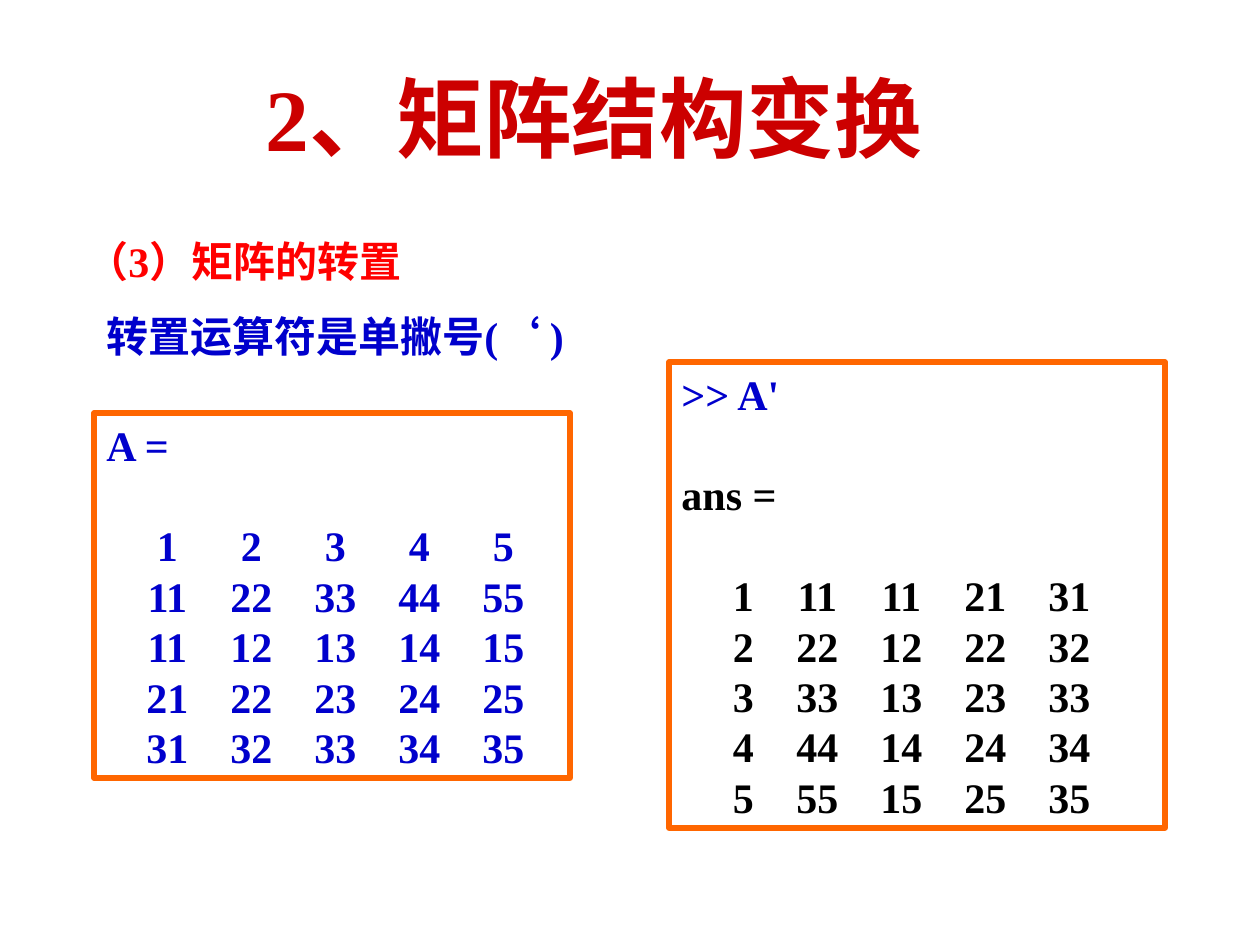
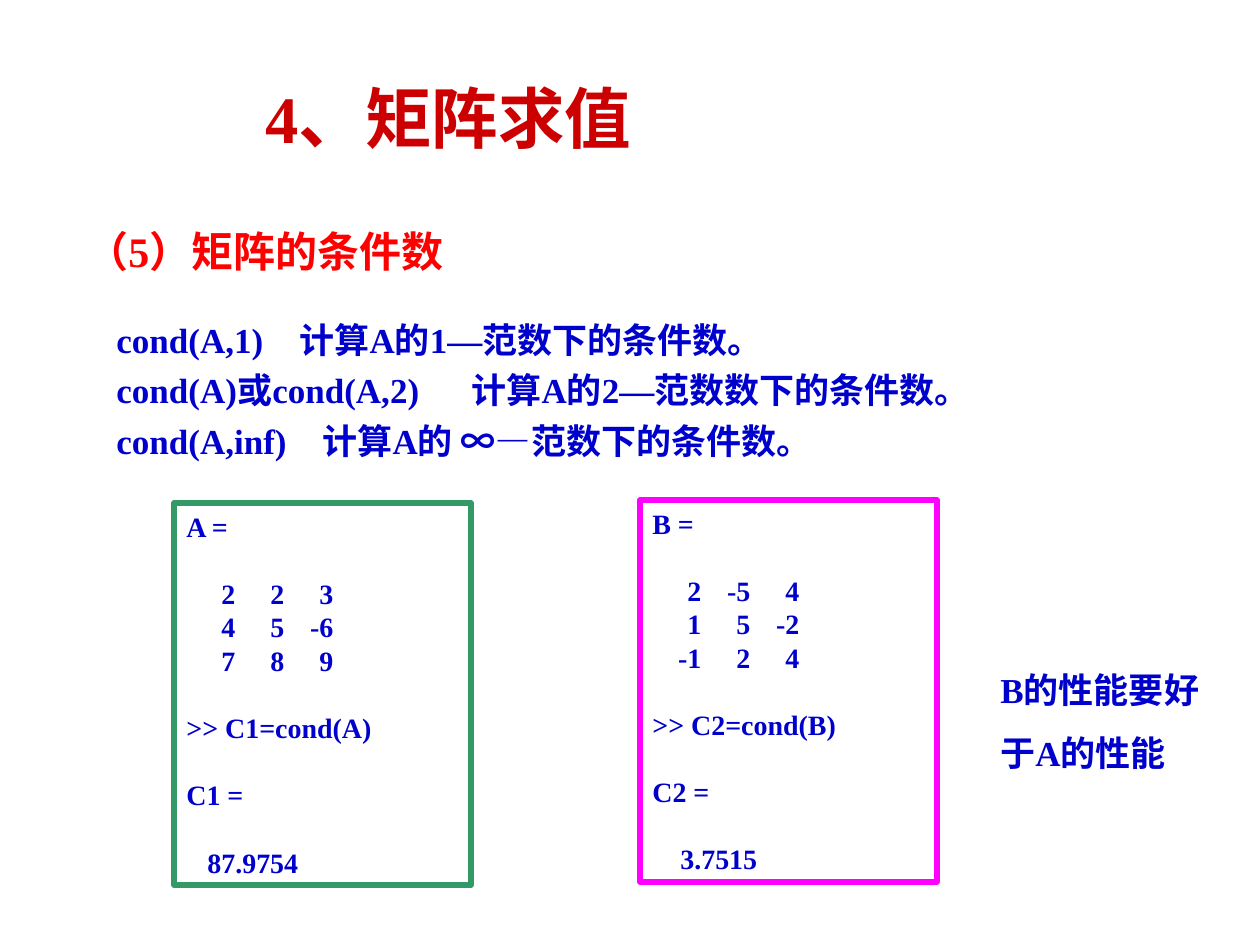
from dataclasses import dataclass

from lxml.etree import SubElement
from pptx import Presentation
from pptx.dml.color import RGBColor
from pptx.enum.shapes import MSO_SHAPE as Shape
from pptx.enum.text import MSO_ANCHOR as Anchor, PP_ALIGN as Align
from pptx.oxml import parse_xml
from pptx.oxml.ns import nsdecls, qn
from pptx.util import Pt

PX = 914400 / 126  # EMU in one px
TITLE_ONLY = 5


@dataclass(frozen=True)
class Theme:
    latin: str = "Times New Roman"
    cjk: str = "Noto Sans CJK SC"
    title: str = "CC0000"
    heading: str = "FF0000"
    body: str = "0000CC"
    answer: str = "000000"
    orange: str = "FF6600"
    green: str = "339966"
    magenta: str = "FF00FF"
    title_size: int = 50
    small_title_size: int = 38
    large: int = 24
    medium: int = 20
    small: int = 16
    leading: float = 1.2
    border: int = 3


THEME = Theme()


@dataclass(frozen=True)
class Line:
    """One line of text; blank_above leaves a line's height free before it."""
    text: str
    color: str = THEME.body
    blank_above: bool = False
    indent: int = 0
    tabs: tuple = ()
    tab_align: str = "ctr"


def px(length):
    return round(length * PX)


def matrix(rows, tabs, color=THEME.body, tab_align="ctr"):
    """Lines of a matrix, each entry placed on its own tab stop."""
    return [Line("".join(f"\t{entry}" for entry in row.split()), color,
                 index == 0, tabs=tabs, tab_align=tab_align)
            for index, row in enumerate(rows)]


# Text formatting
def style(paragraph, size, color, spacing=1.0):
    paragraph.alignment = Align.LEFT
    paragraph.line_spacing = Pt(round(size * THEME.leading * spacing, 1))
    font = paragraph.font
    font.name, font.size, font.bold = THEME.latin, Pt(size), True
    font.color.rgb = RGBColor.from_string(color)
    defaults = paragraph._p.pPr.find(qn("a:defRPr"))
    SubElement(defaults, qn("a:ea")).set("typeface", THEME.cjk)


def set_tabs(paragraph, positions, align):
    stops = parse_xml(f"<a:tabLst {nsdecls('a')}/>")
    for position in positions:
        stop = SubElement(stops, qn("a:tab"))
        stop.set("pos", str(px(position)))
        stop.set("algn", align)
    paragraph._p.pPr.find(qn("a:defRPr")).addprevious(stops)


def write_lines(frame, lines, size, spacing=1.0):
    frame.word_wrap = True
    frame.vertical_anchor = Anchor.TOP
    for index, line in enumerate(lines):
        paragraph = frame.add_paragraph() if index else frame.paragraphs[0]
        paragraph.text = line.text
        style(paragraph, size, line.color, spacing)
        if line.blank_above:
            paragraph.space_before = Pt(round(size * THEME.leading, 1))
        if line.indent:
            paragraph._p.pPr.set("marL", str(px(line.indent)))
            paragraph._p.pPr.set("indent", "0")
        if line.tabs:
            set_tabs(paragraph, line.tabs, line.tab_align)


# Slide elements
def add_titled_slide(deck, title, size):
    slide = deck.slides.add_slide(deck.slide_layouts[TITLE_ONLY])
    holder = slide.shapes.title
    holder.left, holder.top = px(253), px(38)
    holder.width, holder.height = px(944), px(157)
    holder.text_frame.vertical_anchor = Anchor.MIDDLE
    paragraph = holder.text_frame.paragraphs[0]
    paragraph.text = title
    style(paragraph, size, THEME.title)
    return slide


def add_text(slide, box, lines, size, spacing=1.0):
    textbox = slide.shapes.add_textbox(*map(px, box))
    write_lines(textbox.text_frame, lines, size, spacing)
    return textbox.text_frame


def add_heading(slide, top, text):
    add_text(slide, (74, top, 1090, 69), [Line(text, THEME.heading)],
             THEME.large, 1.1)


def add_console(slide, box, border, lines, size):
    """Bordered box holding a session of commands and results."""
    console = slide.shapes.add_shape(Shape.RECTANGLE, *map(px, box))
    console.shadow.inherit = False
    console.fill.background()
    console.line.color.rgb = RGBColor.from_string(border)
    console.line.width = Pt(THEME.border)
    write_lines(console.text_frame, lines, size)


# Slides
def build_transpose(deck):
    slide = add_titled_slide(deck, "2、矩阵结构变换", THEME.title_size)
    add_heading(slide, 224, "（3）矩阵的转置")

    operator = add_text(slide, (94, 304, 1022, 63),
                        [Line("转置运算符是单撇号(")], THEME.large)
    quote = operator.paragraphs[0].add_run()
    quote.text = "‘ "
    quote.font.name = THEME.cjk
    operator.paragraphs[0].add_run().text = ")"

    step = 84
    source_rows = ["1 2 3 4 5", "11 22 33 44 55", "11 12 13 14 15",
                   "21 22 23 24 25", "31 32 33 34 35"]
    source_tabs = tuple(61 + step * column for column in range(5))
    add_console(slide, (94, 413, 476, 365), THEME.orange,
                [Line("A ="), *matrix(source_rows, source_tabs)], THEME.large)

    transposed_rows = [" ".join(column)
                       for column in zip(*map(str.split, source_rows))]
    transposed_tabs = (62, *(136 + step * column for column in range(4)))
    add_console(slide, (669, 362, 496, 466), THEME.orange,
                [Line(">> A'"), Line("ans =", THEME.answer, True),
                 *matrix(transposed_rows, transposed_tabs, THEME.answer)],
                THEME.large)


def build_condition_number(deck):
    slide = add_titled_slide(deck, "4、矩阵求值", THEME.small_title_size)
    add_heading(slide, 214, "（5）矩阵的条件数")

    usages = [("cond(A,1)", "计算A的1—范数下的条件数。", 183),
              ("cond(A)或cond(A,2)", "计算A的2—范数数下的条件数。", 355),
              ("cond(A,inf)", "计算A的 ∞—范数下的条件数。", 206)]
    add_text(slide, (104, 304, 1052, 164),
             [Line(f"{call}\t{meaning}", tabs=(tab,), tab_align="l")
              for call, meaning, tab in usages], THEME.medium, 1.2)

    examples = [
        ("A", "C1", ["2 2 3", "4 5 -6", "7 8 9"], "87.9754", 21,
         (174, 503), THEME.green),
        ("B", "C2", ["2 -5 4", "1 5 -2", "-1 2 4"], "3.7515", 28,
         (640, 500), THEME.magenta),
    ]
    entry_tabs = tuple(49 * column for column in (1, 2, 3))
    for name, result, rows, value, indent, corner, border in examples:
        session = [Line(f"{name} ="),
                   *matrix(rows, entry_tabs, tab_align="r"),
                   Line(f">> {result}=cond({name})", blank_above=True),
                   Line(f"{result} =", blank_above=True),
                   Line(value, blank_above=True, indent=indent)]
        add_console(slide, (*corner, 297, 382), border, session, THEME.small)

    add_text(slide, (988, 641, 248, 139), [Line("B的性能要好于A的性能")],
             THEME.medium, 1.5)


def main():
    deck = Presentation()
    deck.slide_width, deck.slide_height = px(1260), px(945)
    build_transpose(deck)
    build_condition_number(deck)
    deck.save("out.pptx")


if __name__ == "__main__":
    main()
